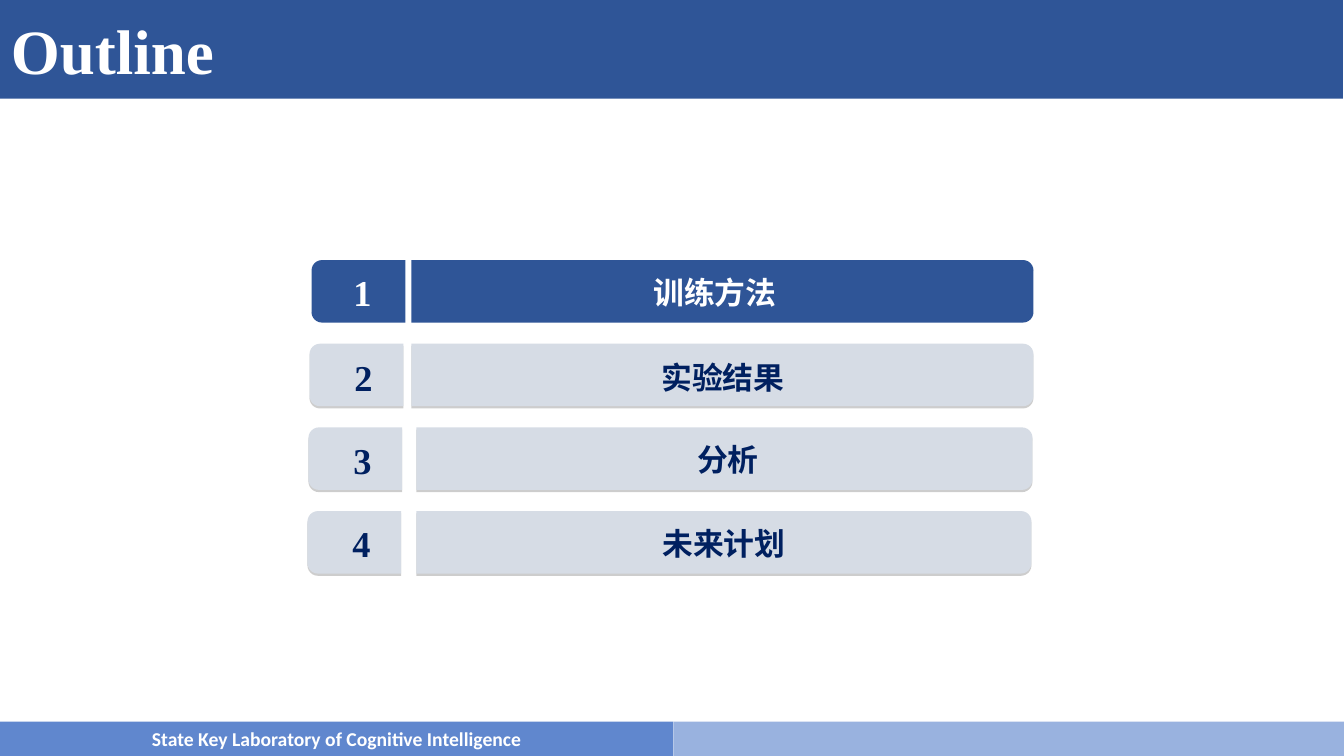
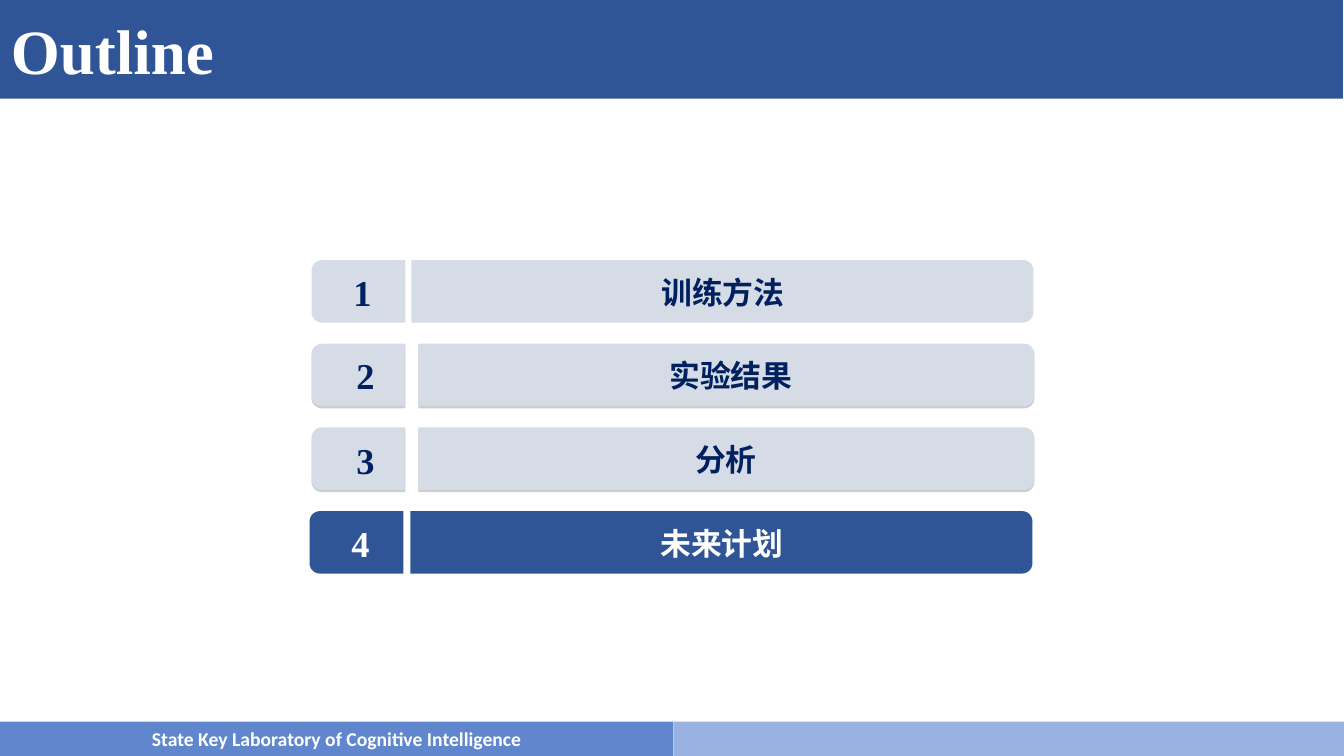
from dataclasses import dataclass

from lxml.etree import SubElement
from pptx import Presentation
from pptx.dml.color import RGBColor
from pptx.enum.shapes import MSO_SHAPE
from pptx.enum.text import MSO_ANCHOR, PP_ALIGN
from pptx.oxml.ns import qn
from pptx.util import Inches, Pt

NAVY = RGBColor(0x2F, 0x55, 0x97)
MID_BLUE = RGBColor(0x60, 0x87, 0xCE)
PALE_BLUE = RGBColor(0x99, 0xB2, 0xDF)
GREY = RGBColor(0xD6, 0xDC, 0xE5)
INK = RGBColor(0x00, 0x20, 0x60)
WHITE = RGBColor(0xFF, 0xFF, 0xFF)

SERIF = "Times New Roman"
SANS = "Calibri"

PAGE_WIDTH, PAGE_HEIGHT = 13.33, 7.5
FIRST_TOP, ROW_STEP, ROW_HEIGHT = 2.58, 0.83, 0.62
TAB_WIDTH = 0.93
TOPICS = ("训练方法", "实验结果", "分析", "未来计划")


@dataclass
class Row:
    """Horizontal layout of one agenda row, in inches."""
    tab_left: float
    bar_left: float
    bar_right: float
    label_center: float
    raised: bool = True
    text_drop: float = 0.01


def add_block(page, kind, left, top, width, height, color):
    box = page.shapes.add_shape(
        kind, Inches(left), Inches(top), Inches(width), Inches(height))
    box.shadow.inherit = False
    box.fill.solid()
    box.fill.fore_color.rgb = color
    box.line.fill.background()
    return box


def write(box, text, size, color, font=SERIF, align=PP_ALIGN.CENTER,
          anchor=MSO_ANCHOR.MIDDLE):
    frame = box.text_frame
    frame.word_wrap = True
    frame.vertical_anchor = anchor
    para = frame.paragraphs[0]
    para.alignment = align
    span = para.add_run()
    span.text = text
    span.font.size = Pt(size)
    span.font.name = font
    span.font.bold = True
    span.font.color.rgb = color
    return para


def add_text(page, left, top, width, height, text, size, color, **style):
    box = page.shapes.add_textbox(
        Inches(left), Inches(top), Inches(width), Inches(height))
    return write(box, text, size, color, **style)


def add_drop_shadow(box):
    effects = box._element.spPr.find(qn("a:effectLst"))
    shadow = SubElement(effects, qn("a:outerShdw"), blurRad="0",
                        dist=str(Pt(1.6)), dir="5400000", rotWithShape="0")
    color = SubElement(shadow, qn("a:srgbClr"), val="808080")
    SubElement(color, qn("a:alpha"), val="38000")


def add_rounded_end(page, left, top, width, height, angle, color, raised):
    """Block with two rounded corners: left end at 270 degrees, right at 90."""
    # The shape is drawn upright about the same centre, then turned
    box = add_block(page, MSO_SHAPE.ROUND_2_SAME_RECTANGLE,
                    left + (width - height) / 2, top + (height - width) / 2,
                    height, width, color)
    box.rotation = angle
    if raised:
        add_drop_shadow(box)


def add_row(page, row, top, number, topic, active):
    fill, ink = (NAVY, WHITE) if active else (GREY, INK)
    add_rounded_end(page, row.tab_left, top, TAB_WIDTH, ROW_HEIGHT,
                    270, fill, row.raised)
    bar_width = row.bar_right - row.bar_left
    add_rounded_end(page, row.bar_left, top, bar_width, ROW_HEIGHT,
                    90, fill, row.raised)
    # Number and topic
    text_top = top + row.text_drop
    nudge = 0.07 if row.raised else 0.04
    add_text(page, row.tab_left + nudge, text_top, TAB_WIDTH, ROW_HEIGHT,
             str(number), 26, ink)
    add_text(page, row.label_center - bar_width / 2, text_top, bar_width,
             ROW_HEIGHT, topic, 22, ink)


def add_frame(page, title):
    # Title band
    add_block(page, MSO_SHAPE.RECTANGLE, -0.01, 0, PAGE_WIDTH, 0.98, NAVY)
    para = add_text(page, 0.01, 0.13, 10, 0.79, title, 45, WHITE,
                    align=PP_ALIGN.LEFT, anchor=MSO_ANCHOR.BOTTOM)
    para.line_spacing = 0.9
    # Footer bands
    footer_top, split = 7.16, 6.68
    footer_height = PAGE_HEIGHT - footer_top
    footer = add_block(page, MSO_SHAPE.RECTANGLE, 0, footer_top, split,
                       footer_height, MID_BLUE)
    write(footer, "State Key Laboratory of Cognitive Intelligence", 14, WHITE,
          font=SANS)
    add_block(page, MSO_SHAPE.RECTANGLE, split, footer_top,
              PAGE_WIDTH - split, footer_height, PALE_BLUE)


def add_outline_slide(deck, rows, active_number):
    page = deck.slides.add_slide(deck.slide_layouts[6])
    add_frame(page, "Outline")
    for index, (row, topic) in enumerate(zip(rows, TOPICS)):
        add_row(page, row, FIRST_TOP + index * ROW_STEP, index + 1, topic,
                index + 1 == active_number)


def main():
    deck = Presentation()
    deck.slide_width = Inches(PAGE_WIDTH)
    deck.slide_height = Inches(PAGE_HEIGHT)
    add_outline_slide(deck, (
        Row(3.09, 4.08, 10.25, 7.09, raised=False),
        Row(3.07, 4.08, 10.25, 7.17, text_drop=0.02),
        Row(3.06, 4.13, 10.24, 7.22),
        Row(3.05, 4.13, 10.23, 7.18),
    ), active_number=1)
    add_outline_slide(deck, (
        Row(3.09, 4.08, 10.25, 7.17, raised=False),
        Row(3.09, 4.15, 10.26, 7.25, text_drop=0),
        Row(3.09, 4.15, 10.26, 7.2),
        Row(3.07, 4.07, 10.24, 7.16, raised=False),
    ), active_number=4)
    deck.save("out.pptx")


if __name__ == "__main__":
    main()
